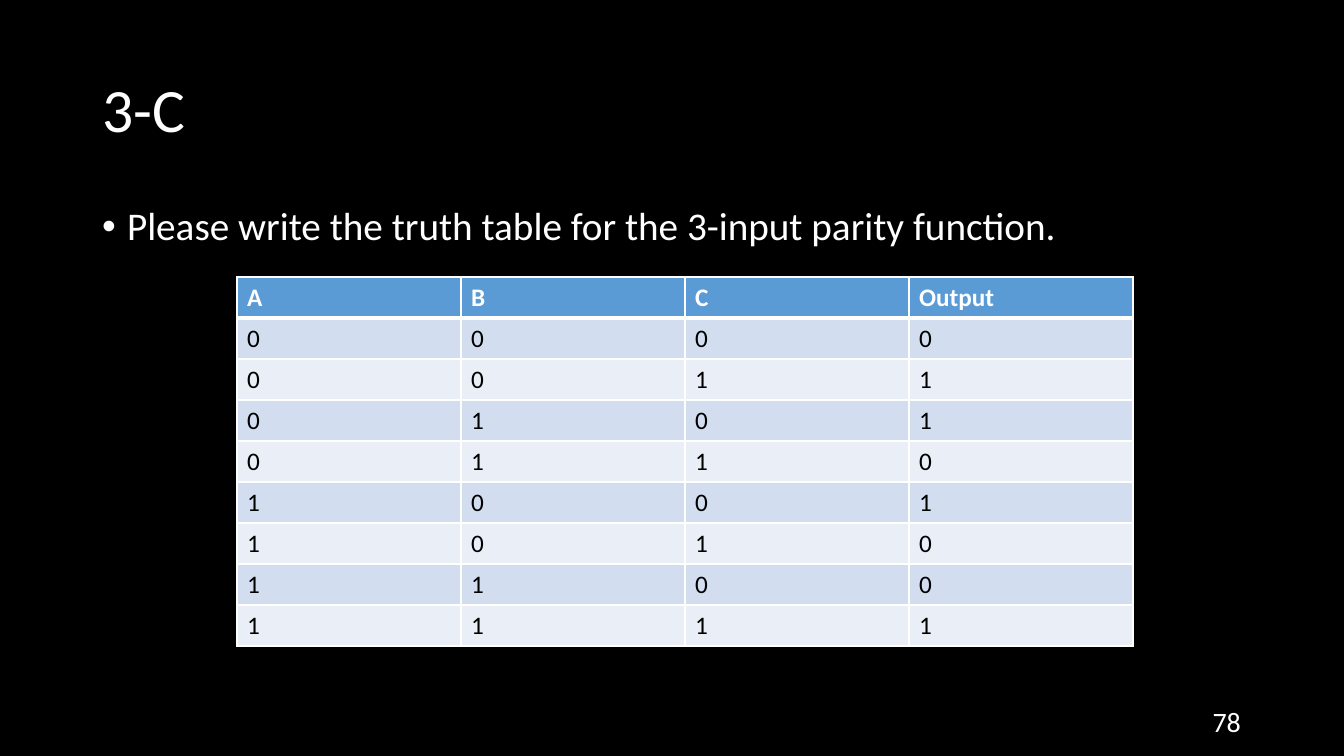
from dataclasses import dataclass
from itertools import product

from lxml import etree
from pptx import Presentation
from pptx import util as u
from pptx.dml import color
from pptx.enum import text
from pptx.oxml import ns

PX = 914400 / 100.8


@dataclass(frozen=True)
class Theme:
    font: str = "Calibri"
    background: str = "000000"
    light: str = "FFFFFF"
    dark: str = "000000"
    header: str = "5B9BD5"
    bands: tuple = ("D2DEEF", "EAEFF7")
    title_size: int = 44
    body_size: int = 28
    number_size: int = 20
    table_size: int = 18


def px(length):
    return u.Emu(round(length * PX))


def rgb(value):
    return color.RGBColor.from_string(value)


class SlideBuilder:
    """Draw styled elements on one slide."""

    def __init__(self, deck, theme):
        self.theme = theme
        self.page = deck.slides.add_slide(deck.slide_layouts[1])
        self.page.background.fill.solid()
        self.page.background.fill.fore_color.rgb = rgb(theme.background)

    def style(self, para, size, ink, bold=False):
        para.font.name = self.theme.font
        para.font.size = u.Pt(size)
        para.font.bold = bold
        para.font.color.rgb = rgb(ink)

    def place(self, box, left, top, width, height):
        box.left, box.top = px(left), px(top)
        box.width, box.height = px(width), px(height)

    def set_text(self, box, words, size, anchor, align):
        frame = box.text_frame
        frame.text = words
        frame.word_wrap = True
        frame.auto_size = text.MSO_AUTO_SIZE.NONE
        frame.vertical_anchor = anchor
        para = frame.paragraphs[0]
        para.alignment = align
        para.space_before = u.Pt(0)
        self.style(para, size, self.theme.light)
        return para

    def title(self, words, *area):
        box = self.page.shapes.title
        self.place(box, *area)
        para = self.set_text(box, words, self.theme.title_size,
                             text.MSO_ANCHOR.MIDDLE, text.PP_ALIGN.LEFT)
        para.line_spacing = 0.9

    def bullet(self, words, indent, *area):
        box = self.page.placeholders[1]
        self.place(box, *area)
        para = self.set_text(box, words, self.theme.body_size,
                             text.MSO_ANCHOR.TOP, text.PP_ALIGN.LEFT)
        para.line_spacing = 0.9
        props = para._p.get_or_add_pPr()
        props.set("marL", str(px(indent)))
        props.set("indent", str(-px(indent)))
        mark = etree.Element(ns.qn("a:buChar"), char="•")
        props.insert_element_before(mark, "a:tabLst", "a:defRPr", "a:extLst")

    def page_number(self, words, *area):
        box = self.page.shapes.add_textbox(*map(px, area))
        self.set_text(box, words, self.theme.number_size,
                      text.MSO_ANCHOR.MIDDLE, text.PP_ALIGN.RIGHT)

    def borders(self, cell, **widths):
        props = cell._tc.get_or_add_tcPr()
        for side in "LRTB":
            line = etree.SubElement(props, ns.qn(f"a:ln{side}"),
                                    w=str(u.Pt(widths.get(side, 1))))
            fill = etree.SubElement(line, ns.qn("a:solidFill"))
            etree.SubElement(fill, ns.qn("a:srgbClr"), val=self.theme.light)

    def table(self, rows, left, top, column_width, row_height):
        theme = self.theme
        count = len(rows[0])
        grid = self.page.shapes.add_table(
            len(rows), count, px(left), px(top),
            px(column_width * count), px(row_height * len(rows))).table
        for column in grid.columns:
            column.width = px(column_width)
        for index, values in enumerate(rows):
            grid.rows[index].height = px(row_height)
            is_header = index == 0
            fill = theme.header if is_header else theme.bands[(index - 1) % 2]
            ink = theme.light if is_header else theme.dark
            for cell, value in zip(grid.rows[index].cells, values):
                cell.text = str(value)
                self.style(cell.text_frame.paragraphs[0], theme.table_size,
                           ink, is_header)
                self.borders(cell, B=3 if is_header else 1,
                             T=3 if index == 1 else 1)
                cell.fill.solid()
                cell.fill.fore_color.rgb = rgb(fill)


def main():
    deck = Presentation()
    deck.slide_width, deck.slide_height = px(1344), px(756)
    slide = SlideBuilder(deck, Theme())
    slide.title("3-C", 92, 40, 1159, 146)
    slide.bullet("Please write the truth table for the 3-input parity function.",
                 25, 92, 202, 1159, 480)
    slide.page_number("78", 949, 701, 302, 40)
    parity = [(*bits, sum(bits) % 2) for bits in product((0, 1), repeat=3)]
    slide.table([("A", "B", "C", "Output"), *parity], 237, 277, 224, 41)
    deck.save("out.pptx")


if __name__ == "__main__":
    main()
